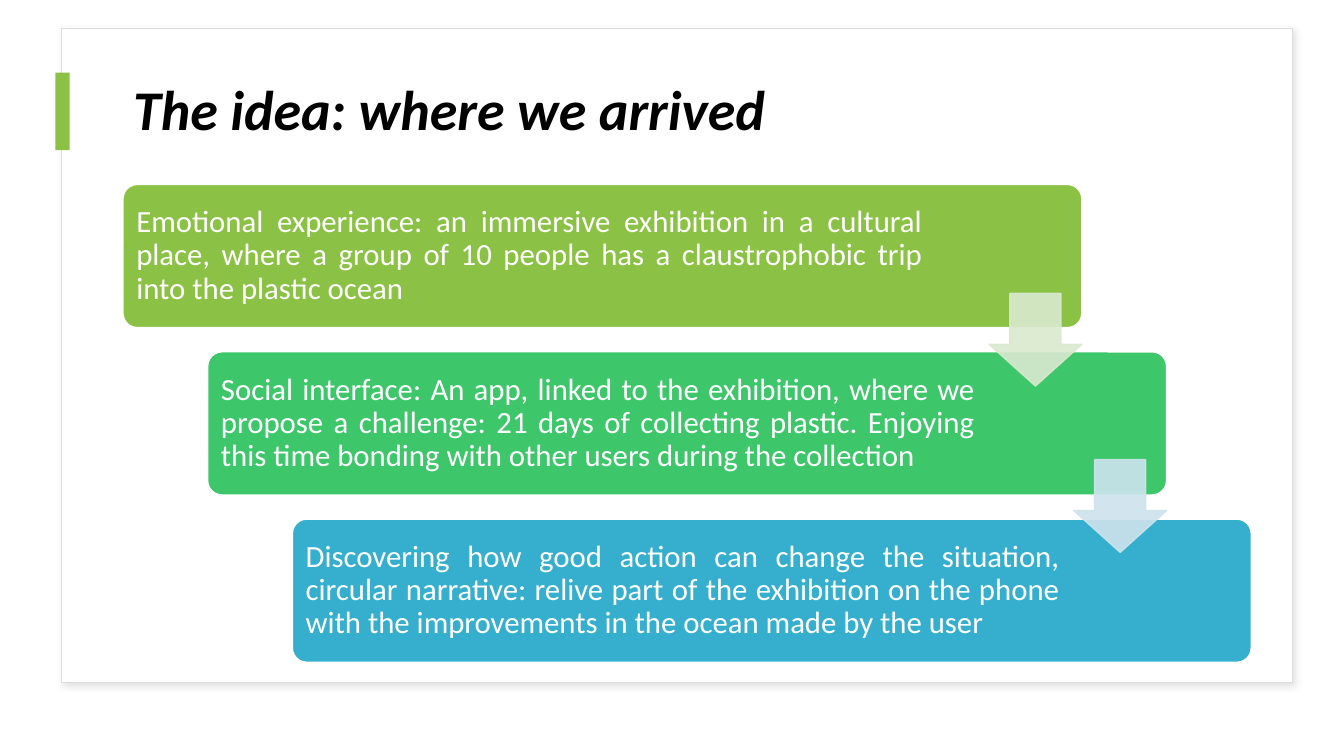
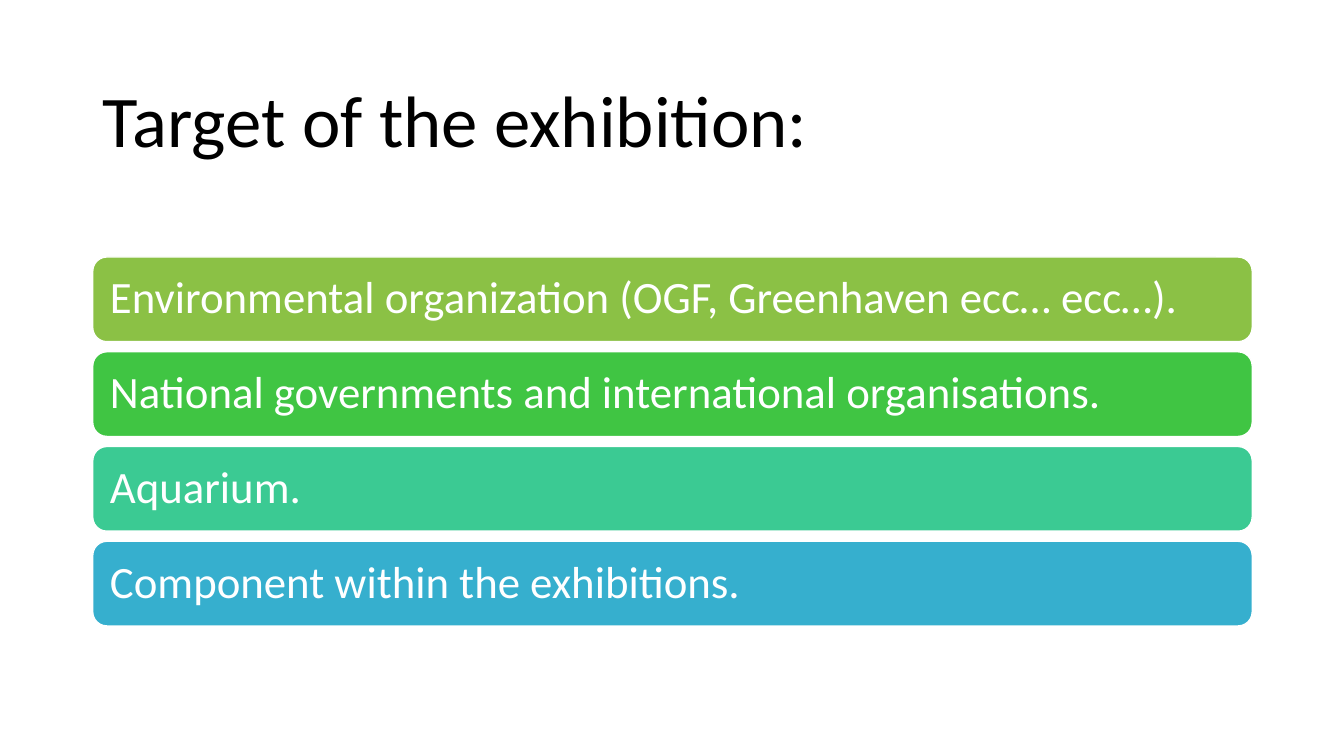
from lxml import etree
from pptx import Presentation
from pptx import util as u
from pptx.dml.color import RGBColor
from pptx.enum import shapes, text
from pptx.oxml import ns

PX = 9144
FONT = "Calibri"
WHITE = RGBColor(0xFF, 0xFF, 0xFF)
BLACK = RGBColor(0x00, 0x00, 0x00)
EDGE = RGBColor(0xDE, 0xDE, 0xDE)
LIME = RGBColor(0x8B, 0xC1, 0x45)
GREEN = RGBColor(0x3E, 0xC7, 0x6A)
LEAF = RGBColor(0x40, 0xC5, 0x43)
TEAL = RGBColor(0x3B, 0xCA, 0x93)
BLUE = RGBColor(0x36, 0xAF, 0xCE)
MIST = RGBColor(0xDA, 0xE9, 0xCF)
SKY = RGBColor(0xCE, 0xE3, 0xED)

IDEA = "The idea: where we arrived"
STEPS = [
    ("Emotional experience: an immersive exhibition in a cultural place, where a group of 10 people "
     "has a claustrophobic trip into the plastic ocean", LIME, 154),
    ("Social interface: An app, linked to the exhibition, where we propose a challenge: 21 days of "
     "collecting plastic. Enjoying this time bonding with other users during the collection", GREEN, 186),
    ("Discovering how good action can change the situation, circular narrative: relive part of the "
     "exhibition on the phone with the improvements in the ocean made by the user", BLUE, 186),
]
ARROWS = [MIST, SKY]

TARGET = "Target of the exhibition:"
GROUPS = [
    ("Environmental organization (OGF, Greenhaven ecc… ecc…).", LIME),
    ("National governments and international organisations.", LEAF),
    ("Aquarium.", TEAL),
    ("Component within the exhibitions.", BLUE),
]

KIND = shapes.MSO_SHAPE


def emu(*vals):
    return [u.Emu(v * PX) for v in vals]


def write(frame, words, size, color, align=text.PP_ALIGN.LEFT):
    frame.text = words
    frame.word_wrap = True
    frame.auto_size = text.MSO_AUTO_SIZE.NONE
    frame.vertical_anchor = text.MSO_ANCHOR.MIDDLE
    para = frame.paragraphs[0]
    para.alignment = align
    para.line_spacing = 0.9
    font = para.runs[0].font
    font.name = FONT
    font.size = u.Pt(size)
    font.color.rgb = color
    return font


def start(deck, words, size, box):
    slide = deck.slides.add_slide(deck.slide_layouts[5])
    title = slide.shapes.title
    title.left, title.top, title.width, title.height = emu(*box)
    return slide, write(title.text_frame, words, size, BLACK)


def draw(slide, kind, box, fill, line=None):
    shape = slide.shapes.add_shape(kind, *emu(*box))
    shape.shadow.inherit = False
    shape.fill.solid()
    shape.fill.fore_color.rgb = fill
    if line is None:
        shape.line.fill.background()
    else:
        shape.line.color.rgb = line
        shape.line.width = u.Pt(1)
    return shape


def panel(slide, box, fill, words, size, pad, right, align):
    shape = draw(slide, KIND.ROUNDED_RECTANGLE, box, fill, WHITE)
    frame = shape.text_frame
    frame.margin_left = frame.margin_top = frame.margin_bottom = u.Emu(pad * PX)
    frame.margin_right = u.Emu(right * PX)
    write(frame, words, size, WHITE, align)
    return shape


def fade(shape, share):
    for tint in shape._element.spPr.iter(ns.qn("a:srgbClr")):
        etree.SubElement(tint, ns.qn("a:alpha"), val=str(share * 1000))


def shade(shape):
    glow = shape._element.spPr.find(ns.qn("a:effectLst"))
    outer = etree.SubElement(glow, ns.qn("a:outerShdw"), blurRad=str(u.Pt(4)),
                             dist=str(u.Pt(3)), dir="2700000", algn="tl", rotWithShape="0")
    tint = etree.SubElement(outer, ns.qn("a:srgbClr"), val="C5C3C3")
    etree.SubElement(tint, ns.qn("a:alpha"), val="50000")


def idea(deck):
    slide, font = start(deck, IDEA, 40, (122, 56, 1119, 111))
    font.bold = font.italic = True
    card = draw(slide, KIND.RECTANGLE, (61, 28, 1221, 649), WHITE, EDGE)
    shade(card)
    slide.shapes.title._element.addprevious(card._element)
    draw(slide, KIND.RECTANGLE, (55, 72, 14, 77), LIME)
    left, top, wide, high = 122, 183, 951, 142
    dx, dy, side = 84, 166, 92
    for i, (words, fill, right) in enumerate(STEPS):
        box = (left + i * dx, top + i * dy, wide, high)
        step = panel(slide, box, fill, words, 22, 9, right, text.PP_ALIGN.JUSTIFY)
        step.adjustments[0] = 0.1
    for i, fill in enumerate(ARROWS):
        box = (left + wide - side + i * dx, 291 + i * (dy - 1), side, side)
        arrow = draw(slide, KIND.DOWN_ARROW, box, fill, fill)
        arrow.adjustments[0], arrow.adjustments[1] = 0.55, 0.45
        fade(arrow, 90)


def target(deck):
    slide, _ = start(deck, TARGET, 52, (92, 61, 1150, 124))
    for i, (words, fill) in enumerate(GROUPS):
        panel(slide, (92, 255 + i * 94, 1150, 84), fill, words, 32, 13, 13, text.PP_ALIGN.LEFT)


def main():
    deck = Presentation()
    deck.slide_width, deck.slide_height = emu(1333, 750)
    idea(deck)
    target(deck)
    deck.save("out.pptx")


if __name__ == "__main__":
    main()
